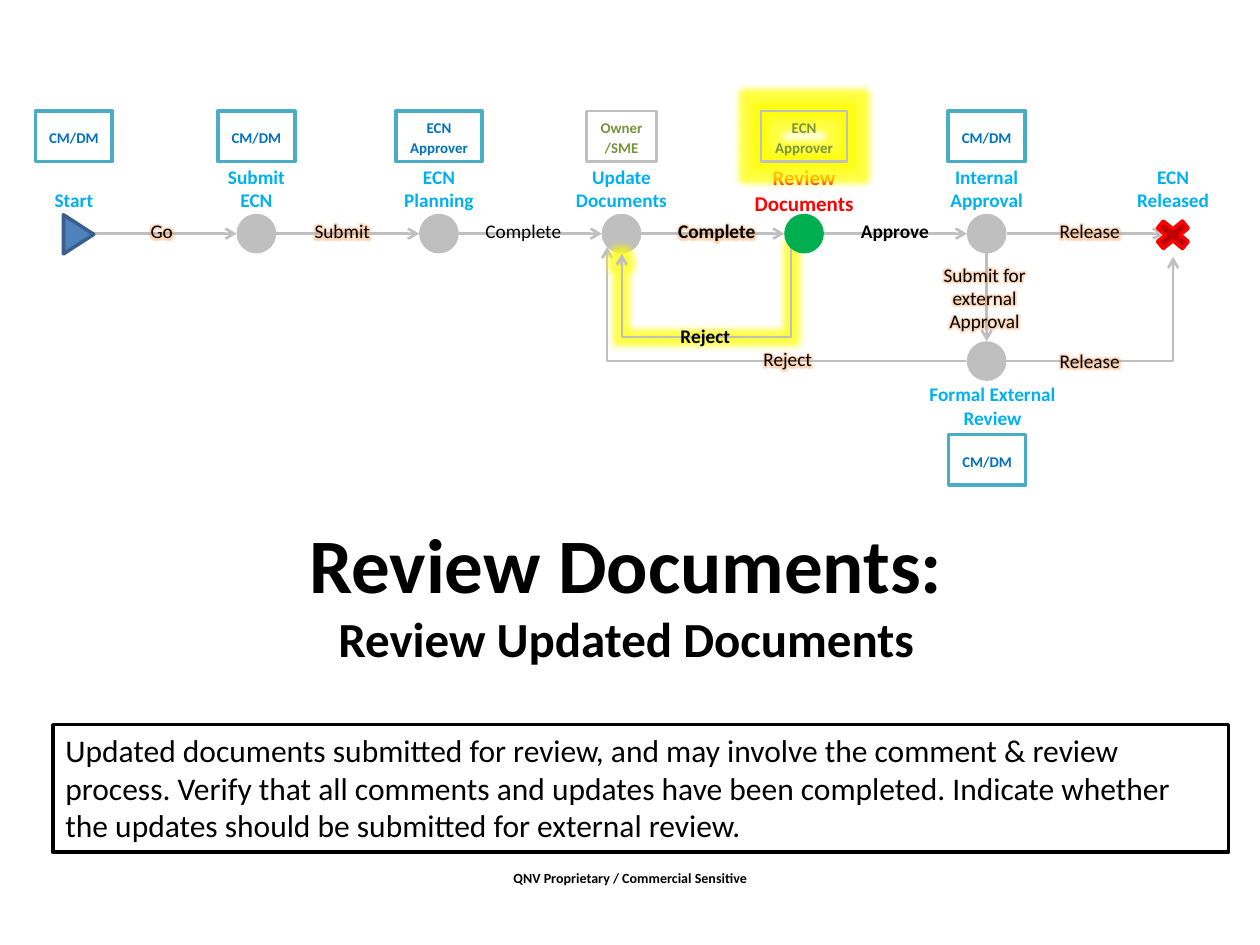
from dataclasses import dataclass

from lxml.etree import SubElement
from pptx import Presentation
from pptx.dml.color import RGBColor
from pptx.enum.shapes import MSO_CONNECTOR, MSO_SHAPE
from pptx.enum.text import MSO_ANCHOR, MSO_AUTO_SIZE, PP_ALIGN
from pptx.oxml.ns import qn
from pptx.util import Cm, Pt


@dataclass(frozen=True)
class Theme:
    font: str = "Calibri"
    black: str = "000000"
    white: str = "FFFFFF"
    grey: str = "BFBFBF"
    sky: str = "00B0F0"
    red: str = "FF0000"
    green: str = "00B050"
    teal: str = "4BACC6"
    blue: str = "0070C0"
    olive: str = "77933C"
    start: str = "4F81BD"
    edge: str = "3A5F8C"
    cross: str = "C00000"
    yellow: str = "FFFF00"
    orange: str = "F79646"
    title: float = 44
    sub: float = 28
    body: float = 18
    step: float = 12
    label: float = 11
    role: float = 8.5
    foot: float = 8


T = Theme()


@dataclass(frozen=True)
class Label:
    text: str
    mid: float
    top: float
    width: float
    high: float = 0.73
    color: str = T.black
    size: float = T.label
    bold: bool = False
    glow: bool = False


@dataclass(frozen=True)
class Role:
    text: str
    mid: float
    width: float = 1.55
    top: float = 2.24
    edge: str = T.teal
    color: str = T.blue
    weight: float = 2
    fill: str | None = T.white
    glow: bool = False


@dataclass(frozen=True)
class Bend:
    """Start and end before turning, then the turn, the preset and its adjust value."""
    start: tuple[float, float]
    end: tuple[float, float]
    turn: int
    kind: str
    bend: int | None = None
    glow: bool = False


def col(k: int) -> float:
    return round(1.49 + 3.68 * k, 2)


ROW, LOW, RAD, END = 4.71, 7.28, 0.4, 23.65
TWO = 1.19

FLOWS = [
    Label("Go", 3.26, 4.3, 1.4, glow=True),
    Label("Submit", 6.9, 4.3, 1.75, glow=True),
    Label("Complete", 10.55, 4.3, 2.11),
    Label("Complete", 14.45, 4.3, 2.13, bold=True, glow=True),
    Label("Approve", 18.04, 4.3, 2.29, bold=True),
    Label("Release", 21.97, 4.3, 2.29, glow=True),
    Label("Submit for external Approval", 19.85, 5.18, 2.41, 1.68, glow=True),
    Label("Reject", 15.88, 6.88, 2.29, glow=True),
    Label("Release", 21.97, 6.91, 2.29, glow=True),
]
STEPS = [
    Label("Start", col(0), 3.68, 3, color=T.sky, bold=True),
    Label("Submit ECN", col(1), 3.2, 2.36, TWO, T.sky, bold=True),
    Label("ECN Planning", col(2), 3.2, 2.51, TWO, T.sky, bold=True),
    Label("Update Documents", col(3), 3.2, 3, TWO, T.sky, bold=True),
    Label("Review Documents", col(4), 3.2, 2.57, 1.27, T.red, T.step, True),
    Label("Internal Approval", col(5), 3.2, 2.57, TWO, T.sky, bold=True),
    Label("ECN Released", END, 3.2, 2.49, TWO, T.sky, bold=True),
    Label("Formal External Review", 20.01, 7.59, 3.91, TWO, T.sky, bold=True),
]
ROLES = [
    Role("CM/DM", col(0)),
    Role("CM/DM", col(1)),
    Role("ECN Approver", col(2), 1.73),
    Role("Owner/SME", col(3), 1.42, edge=T.grey, color=T.olive, weight=1.5, fill=None),
    Role("ECN Approver", col(4), 1.73, edge=T.grey, color=T.olive, weight=1.5,
         fill=None, glow=True),
    Role("CM/DM", col(5)),
    Role("CM/DM", 19.9, top=8.76),
]
BENDS = [
    Bend((12.24, 4.98), (19.48, 7.28), 180, "bentConnector2"),
    Bend((20.29, 7.28), (END, 5.18), 0, "bentConnector3", 100000),
    Bend((14.18, 3.35), (14.3, 6.76), 90, "bentConnector3", 1500000, True),
]


def put(item, **vals) -> None:
    for name, val in vals.items():
        setattr(item, name, val)


def add_glow(fx, color: str, size: float, alpha: int) -> None:
    glow = SubElement(fx, qn("a:glow"), rad=str(int(Pt(size))))
    tint = SubElement(glow, qn("a:srgbClr"), val=color)
    SubElement(tint, qn("a:alpha"), val=str(alpha * 1000))


def style(run, color: str, size: float, bold: bool = False, glow: bool = False) -> None:
    put(run.font, name=T.font, size=Pt(size), bold=bold)
    run.font.color.rgb = RGBColor.from_string(color)
    if glow:
        props = run._r.get_or_add_rPr()
        fx = SubElement(props, qn("a:effectLst"))
        props.find(qn("a:solidFill")).addnext(fx)
        add_glow(fx, T.orange, 5, 40)


def shape(slide, kind, left, top, width, high, fill=None, edge=None, weight=2.0):
    item = slide.shapes.add_shape(kind, Cm(left), Cm(top), Cm(width), Cm(high))
    item.shadow.inherit = False
    if fill:
        item.fill.solid()
        item.fill.fore_color.rgb = RGBColor.from_string(fill)
    else:
        item.fill.background()
    if edge:
        item.line.color.rgb = RGBColor.from_string(edge)
        item.line.width = Pt(weight)
    else:
        item.line.fill.background()
    return item


def draw_node(slide, mid: float, row: float, fill: str = T.grey) -> None:
    shape(slide, MSO_SHAPE.OVAL, mid - RAD, row - RAD, 2 * RAD, 2 * RAD, fill)


def draw_label(slide, tag: Label) -> None:
    box = slide.shapes.add_textbox(Cm(tag.mid - tag.width / 2), Cm(tag.top),
                                   Cm(tag.width), Cm(tag.high))
    box.text_frame.word_wrap = True
    para = box.text_frame.paragraphs[0]
    para.alignment = PP_ALIGN.CENTER
    run = para.add_run()
    run.text = tag.text
    style(run, tag.color, tag.size, tag.bold, tag.glow)


def draw_role(slide, role: Role) -> None:
    box = shape(slide, MSO_SHAPE.RECTANGLE, role.mid - role.width / 2, role.top,
                role.width, 1.02, role.fill, role.edge, role.weight)
    if role.glow:
        add_glow(box._element.spPr.find(qn("a:effectLst")), T.yellow, 8, 75)
    put(box.text_frame, word_wrap=True, vertical_anchor=MSO_ANCHOR.MIDDLE)
    para = box.text_frame.paragraphs[0]
    put(para, alignment=PP_ALIGN.CENTER, line_spacing=1.15, space_after=Pt(10))
    run = para.add_run()
    run.text = role.text
    style(run, role.color, T.role, True)


def draw_line(slide, start, end, kind=MSO_CONNECTOR.STRAIGHT):
    line = slide.shapes.add_connector(kind, *map(Cm, (*start, *end)))
    line.line.color.rgb = RGBColor.from_string(T.grey)
    line.line.width = Pt(1.5)
    SubElement(line.line._get_or_add_ln(), qn("a:tailEnd"), type="arrow")
    return line, SubElement(line._element.spPr, qn("a:effectLst"))


def draw_bend(slide, bend: Bend) -> None:
    line, fx = draw_line(slide, bend.start, bend.end, MSO_CONNECTOR.ELBOW)
    line._element.spPr.find(qn("a:xfrm")).set("rot", str(bend.turn * 60000))
    geom = line._element.spPr.find(qn("a:prstGeom"))
    geom.set("prst", bend.kind)
    if bend.bend is not None:
        SubElement(geom.find(qn("a:avLst")), qn("a:gd"), name="adj1",
                   fmla=f"val {bend.bend}")
    if bend.glow:
        add_glow(fx, T.yellow, 8, 75)


def draw_title(slide) -> None:
    title = slide.shapes.title
    put(title, left=Cm(0.48), top=Cm(11.23), width=Cm(24.28), height=Cm(1.4))
    put(title.text_frame, word_wrap=True, vertical_anchor=MSO_ANCHOR.MIDDLE,
        auto_size=MSO_AUTO_SIZE.NONE)
    para = title.text_frame.paragraphs[0]
    para.alignment = PP_ALIGN.CENTER
    head = para.add_run()
    head.text = "Review Documents:"
    style(head, T.black, T.title, True)
    para.add_line_break()
    sub = para.add_run()
    sub.text = "Review Updated Documents"
    style(sub, T.black, T.sub, True)


def draw_note(slide) -> None:
    box = shape(slide, MSO_SHAPE.RECTANGLE, 1.07, 14.61, 23.7, 2.57, T.white, T.black)
    put(box.text_frame, word_wrap=True, vertical_anchor=MSO_ANCHOR.TOP)
    para = box.text_frame.paragraphs[0]
    para.alignment = PP_ALIGN.LEFT
    run = para.add_run()
    run.text = ("Updated documents submitted for review, and may involve the comment "
                "& review process. Verify that all comments and updates have been "
                "completed. Indicate whether the updates should be submitted for "
                "external review.")
    style(run, T.black, T.body)


def main() -> None:
    deck = Presentation()
    put(deck, slide_width=Cm(25.4), slide_height=Cm(19.05))
    slide = deck.slides.add_slide(deck.slide_layouts[5])
    draw_label(slide, Label("QNV Proprietary / Commercial Sensitive", 12.71, 17.4,
                            8.05, 0.69, size=T.foot, bold=True))
    draw_title(slide)
    draw_note(slide)
    for k in range(5):
        draw_line(slide, (col(k) + RAD, ROW), (col(k + 1) - RAD, ROW))
    draw_line(slide, (col(5) + RAD, ROW), (23.47, ROW))
    draw_line(slide, (col(5), ROW + RAD), (col(5), LOW - RAD))
    for bend in BENDS[:2]:
        draw_bend(slide, bend)
    start = shape(slide, MSO_SHAPE.ISOSCELES_TRIANGLE, 1.19, 4.42, 0.79, 0.61,
                  T.start, T.edge)
    start.rotation = 90
    shape(slide, MSO_SHAPE.MATH_MULTIPLY, 23.16, 4.34, 0.97, 0.79, T.cross, T.red)
    for k in (1, 2, 3, 5):
        draw_node(slide, col(k), ROW)
    draw_node(slide, col(5), LOW)
    for tag in FLOWS + STEPS:
        draw_label(slide, tag)
    for role in ROLES:
        draw_role(slide, role)
    draw_bend(slide, BENDS[2])
    draw_label(slide, Label("Reject", 14.22, 6.41, 2.29, bold=True))
    draw_node(slide, col(4), ROW, T.green)
    deck.save("out.pptx")


if __name__ == "__main__":
    main()
